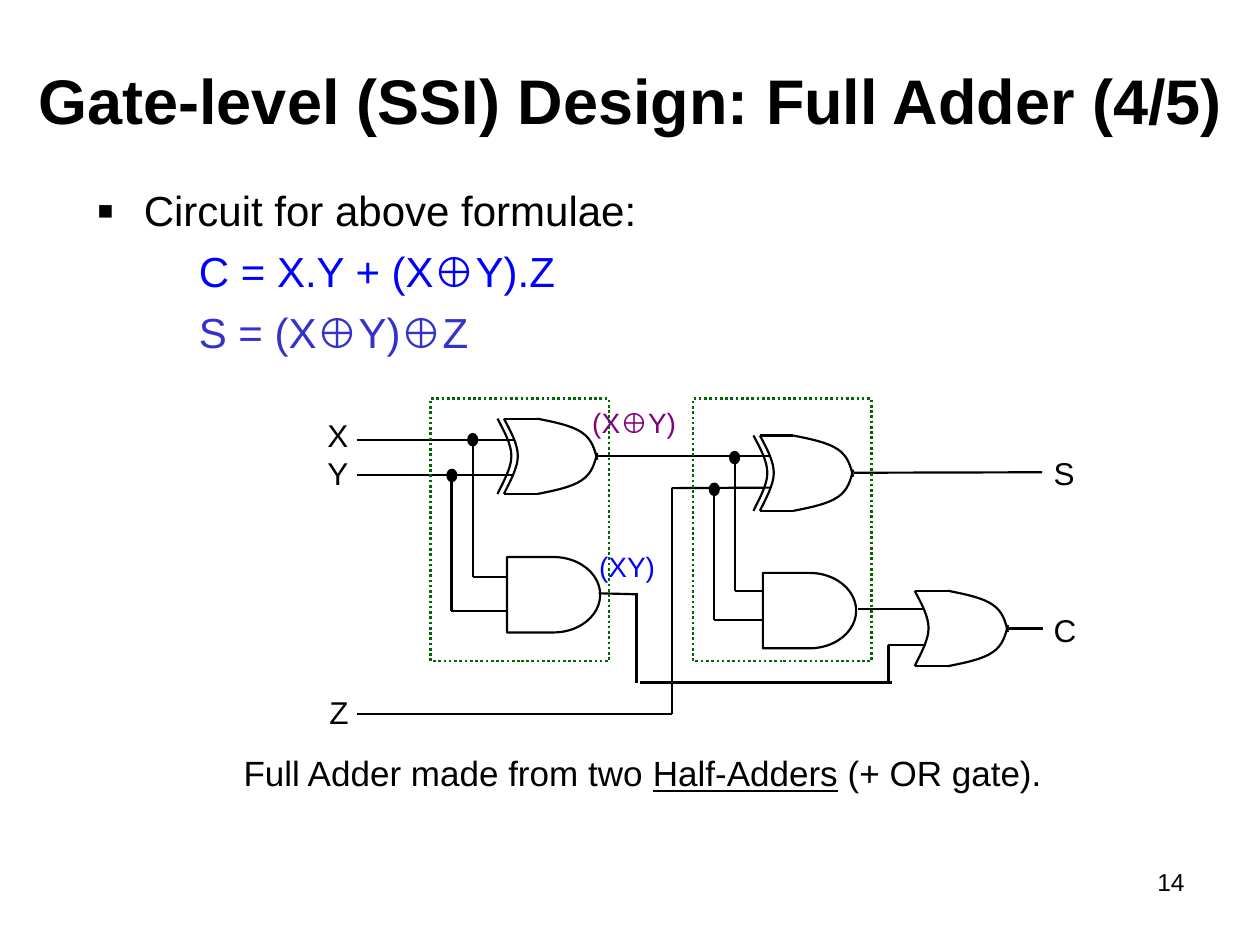
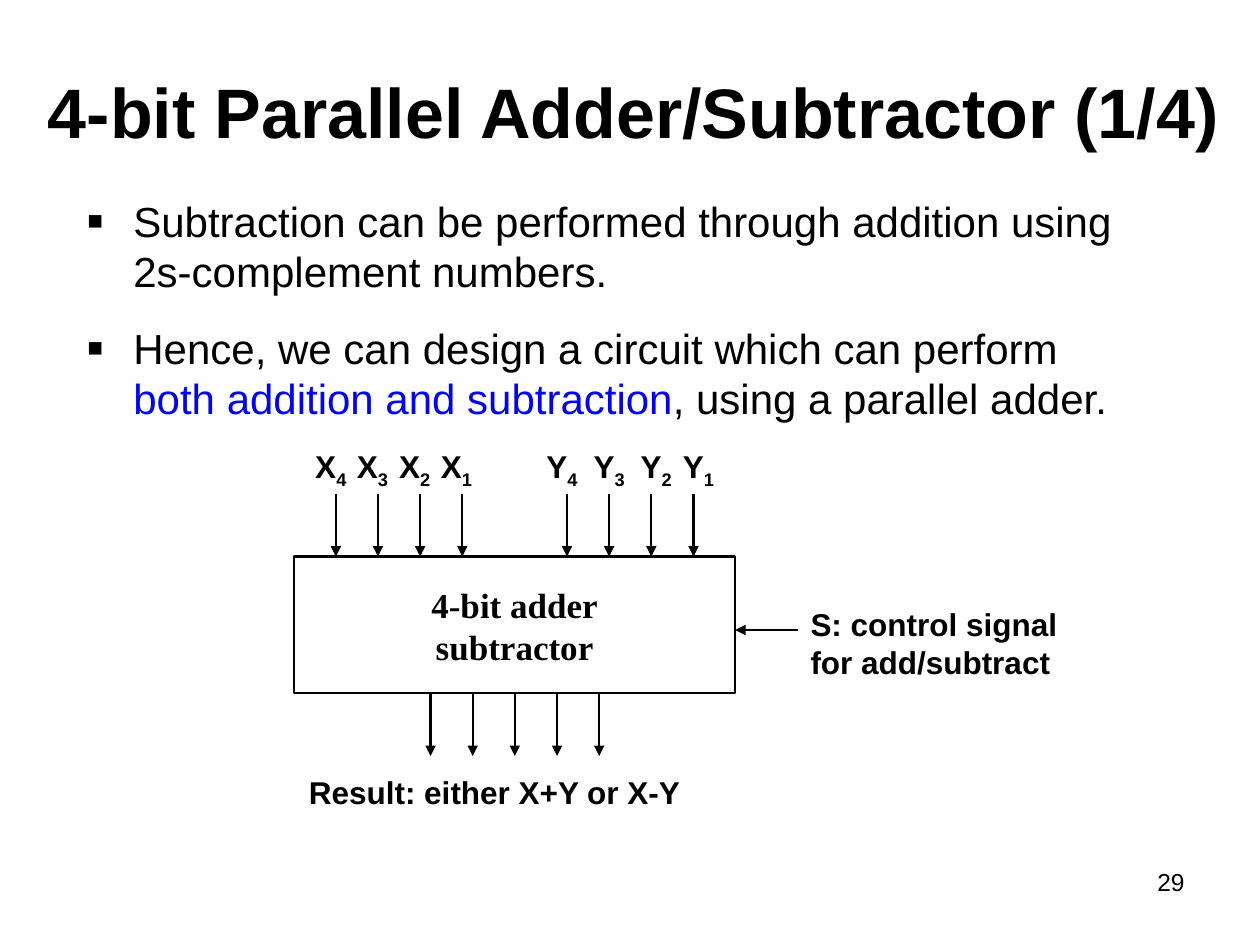
import dataclasses

import lxml.etree
import pptx
import pptx.dml.color
import pptx.enum.dml
import pptx.enum.shapes
import pptx.enum.text
import pptx.oxml.ns
import pptx.util

Cm = pptx.util.Cm
Pt = pptx.util.Pt
qn = pptx.oxml.ns.qn
SHAPE = pptx.enum.shapes.MSO_SHAPE
ALIGN = pptx.enum.text.PP_ALIGN


@dataclasses.dataclass(frozen=True)
class Theme:
    font: str = "Arial"
    serif: str = "Times New Roman"
    black: str = "000000"
    blue: str = "0000FF"
    indigo: str = "3333CC"
    purple: str = "800080"
    green: str = "006600"
    body: int = 24
    caption: int = 20
    label: int = 18
    signal: int = 16
    number: int = 14
    wire: float = 1.25
    frame: float = 1.5


T = Theme()


def rgb(color):
    return pptx.dml.color.RGBColor.from_string(color)


def write(tf, text, size=T.label, color=T.black, font=T.font, bold=False, underline=False,
          baseline=0, align=ALIGN.LEFT, before=0, indent=0, bullet=False, new=True):
    p = tf.paragraphs[-1]
    if new:
        if p.runs:
            p = tf.add_paragraph()
        p.alignment = align
        p.space_before = Pt(before)
        pPr = p._p.get_or_add_pPr()
        pPr.set("marL", str(Cm(indent)))
        pPr.set("indent", str(-Cm(indent) if bullet else 0))
        if bullet:
            clr = lxml.etree.SubElement(pPr, qn("a:buClr"))
            lxml.etree.SubElement(clr, qn("a:srgbClr"), val=T.black)
            lxml.etree.SubElement(pPr, qn("a:buSzPct"), val="120000")
            lxml.etree.SubElement(pPr, qn("a:buFont"), typeface=T.font)
            lxml.etree.SubElement(pPr, qn("a:buChar"), char="▪")
        else:
            lxml.etree.SubElement(pPr, qn("a:buNone"))
    r = p.add_run()
    r.text = text
    r.font.name = font
    r.font.size = Pt(size)
    r.font.bold = bold
    r.font.underline = underline
    r.font.color.rgb = rgb(color)
    if baseline:
        r._r.get_or_add_rPr().set("baseline", str(baseline * 1000))


def text_box(s, x, y, w, h):
    tf = s.shapes.add_textbox(Cm(x), Cm(y), Cm(w), Cm(h)).text_frame
    tf.word_wrap = True
    return tf


def label(s, text, x, y, w, h, **style):
    write(text_box(s, x, y, w, h), text, **style)


def add_slide(prs, title, number, x, y, w, size):
    s = prs.slides.add_slide(prs.slide_layouts[5])
    sp = s.shapes.title
    sp.left, sp.top, sp.width, sp.height = Cm(x), Cm(y), Cm(w), Cm(3.18)
    tf = sp.text_frame
    tf.auto_size = pptx.enum.text.MSO_AUTO_SIZE.NONE
    tf.vertical_anchor = pptx.enum.text.MSO_ANCHOR.MIDDLE
    write(tf, title, size=size, bold=True, align=ALIGN.CENTER)
    label(s, number, 18.21, 17.35, 5.92, 1.32, size=T.number, align=ALIGN.RIGHT)
    return s


def outline(sp, color=T.black, width=T.wire, dash=None, fill=None):
    sp.shadow.inherit = False
    if fill:
        sp.fill.solid()
        sp.fill.fore_color.rgb = rgb(fill)
    else:
        sp.fill.background()
    sp.line.color.rgb = rgb(color)
    sp.line.width = Pt(width)
    if dash:
        sp.line.dash_style = dash


def shape(s, kind, x, y, w, h, **style):
    outline(s.shapes.add_shape(kind, Cm(x), Cm(y), Cm(w), Cm(h)), **style)


def wire(s, *points, arrow=False):
    for (x1, y1), (x2, y2) in zip(points, points[1:]):
        c = s.shapes.add_connector(pptx.enum.shapes.MSO_CONNECTOR.STRAIGHT,
                                   Cm(x1), Cm(y1), Cm(x2), Cm(y2))
        c.line.color.rgb = rgb(T.black)
        c.line.width = Pt(T.wire)
        if arrow:
            lxml.etree.SubElement(c.line._get_or_add_ln(), qn("a:tailEnd"), type="triangle")
        lxml.etree.SubElement(c._element.spPr, qn("a:effectLst"))


def curve(s, x, y, knots):
    points = [(Cm(x + px), Cm(y + py)) for px, py in knots]
    fb = s.shapes.build_freeform(*points[0])
    fb.add_line_segments(points[1:], close=False)
    sp = fb.convert_to_shape()
    segments = list(sp._element.iter(qn("a:lnTo")))
    outline_path = segments[0].getparent()
    for i in range(0, len(segments), 3):
        bend = lxml.etree.SubElement(outline_path, qn("a:cubicBezTo"))
        for segment in segments[i:i + 3]:
            bend.append(segment[0])
            outline_path.remove(segment)
    outline(sp)


def or_gate(s, x, y, exclusive=False):
    h = 1.52
    back = [(0, 0), (.13, .25), (.28, .51), (.28, .76), (.28, 1.02), (.05, 1.4), (0, h)]
    nose = [(.67, 0), (1.02, .07), (1.37, .14), (1.57, .28), (1.78, .42), (1.83, .63), (1.88, .83)]
    curve(s, x, y, back)
    if exclusive:
        curve(s, x - .13, y, back)
    curve(s, x, y, nose)
    curve(s, x, y, [(px, h - py) for px, py in nose])
    for edge in (y, y + h):
        wire(s, (x, edge), (x + .67, edge))


def and_gate(s, x, y):
    shape(s, SHAPE.FLOWCHART_DELAY, x, y, 1.88, 1.52)


def junction(s, x, y):
    shape(s, SHAPE.OVAL, x - .09, y - .12, .18, .23, fill=T.black)


def full_adder(prs):
    s = add_slide(prs, "Gate-level (SSI) Design: Full Adder (4/5)", "14", .33, .42, 24.77, 36)
    tf = text_box(s, 1.7, 3.6, 21.16, 3.81)
    write(tf, "Circuit for above formulae:", size=T.body, indent=.95, bullet=True)
    write(tf, "C = X.Y + (X⊕Y).Z", size=T.body, color=T.blue, before=6, indent=2.06)
    write(tf, "S = (X⊕Y)⊕Z", size=T.body, color=T.indigo, before=6, indent=2.06)

    tf = text_box(s, 4.66, 15.03, 16.94, 1.47)
    write(tf, "Full Adder made from two ", size=T.caption)
    write(tf, "Half-Adders", size=T.caption, underline=True, new=False)
    write(tf, " (+ OR gate).", size=T.caption, new=False)

    or_gate(s, 10.16, 8.44, exclusive=True)
    or_gate(s, 15.32, 8.78, exclusive=True)
    or_gate(s, 18.44, 11.91)
    and_gate(s, 10.22, 11.23)
    and_gate(s, 15.38, 11.55)

    for points in (
        [(7.19, 8.87), (10.36, 8.87)],
        [(7.19, 9.57), (10.36, 9.57)],
        [(9.53, 8.87), (9.53, 11.63), (10.21, 11.63)],
        [(9.1, 9.57), (9.1, 12.32), (10.21, 12.32)],
        [(12.01, 9.2), (15.52, 9.2)],
        [(12.07, 11.96), (12.83, 11.98)],
        [(12.83, 11.96), (12.83, 13.76)],
        [(12.91, 13.76), (17.98, 13.76)],
        [(17.91, 13.76), (17.91, 13.01), (18.67, 13.01)],
        [(7.19, 14.4), (13.54, 14.4), (13.54, 9.84), (15.52, 9.83)],
        [(14.82, 9.2), (14.82, 11.91), (15.37, 11.91)],
        [(14.4, 9.84), (14.4, 12.5), (15.37, 12.5)],
        [(17.22, 9.53), (21.01, 9.52)],
        [(17.3, 12.27), (18.62, 12.27)],
        [(20.27, 12.67), (21.03, 12.67)],
    ):
        wire(s, *points)
    for x, y in ((9.53, 8.87), (9.11, 9.59), (14.81, 9.23), (14.4, 9.87)):
        junction(s, x, y)

    tf = text_box(s, 6.35, 8.26, 1.07, 1.52)
    write(tf, "X")
    write(tf, "Y")
    for text, x, y in (("Z", 6.39, 13.84), ("S", 20.99, 9.02), ("C", 20.99, 12.19)):
        label(s, text, x, y, 1.07, .97)
    label(s, "(X⊕Y)", 11.69, 8.05, 2.29, .97, size=T.signal, color=T.purple)
    label(s, "(XY)", 11.83, 10.95, 1.75, .97, size=T.signal, color=T.blue)
    for x in (8.68, 13.97):
        shape(s, SHAPE.RECTANGLE, x, 8.04, 3.6, 5.29, color=T.green, width=T.frame,
              dash=pptx.enum.dml.MSO_LINE.ROUND_DOT)


def adder_subtractor(prs):
    s = add_slide(prs, "4-bit Parallel Adder/Subtractor (1/4)", "29", .28, .64, 24.98, 40)
    tf = text_box(s, 1.49, 3.81, 21.59, 4.88)
    write(tf, "Subtraction can be performed through addition using 2s-complement numbers.",
          size=T.body, indent=.95, bullet=True)
    write(tf, "Hence, we can design a circuit which can perform ",
          size=T.body, before=15, indent=.95, bullet=True)
    write(tf, "both addition and subtraction", size=T.body, color=T.blue, new=False)
    write(tf, ", using a parallel adder.", size=T.body, new=False)

    top, bottom, length, pitch = 11.22, 13.97, 1.27, .85
    shape(s, SHAPE.RECTANGLE, 5.93, top, 8.89, bottom - top, width=T.frame)
    tf = text_box(s, 7.2, 11.63, 6.35, 1.96)
    for line in ("4-bit adder", "subtractor"):
        write(tf, line, size=T.caption, font=T.serif, bold=True, align=ALIGN.CENTER)

    for name, first, centres in (("X", 6.77, (6.67, 7.51, 8.36, 9.2)),
                                 ("Y", 11.43, (11.33, 12.28, 13.23, 14.08))):
        for i, centre in enumerate(centres):
            x = first + i * pitch
            wire(s, (x, top - length), (x, top), arrow=True)
            tf = text_box(s, centre - .74, 8.89, 1.48, 1.12)
            write(tf, name, bold=True, align=ALIGN.CENTER)
            write(tf, str(4 - i), bold=True, baseline=-25, new=False)
    for i in range(5):
        x = 8.68 + i * pitch
        wire(s, (x, bottom), (x, bottom + length), arrow=True)
    wire(s, (16.08, 12.7), (14.82, 12.7), arrow=True)

    label(s, "S: control signal for add/subtract", 16.09, 12.07, 5.72, 1.78, bold=True)
    label(s, "Result: either X+Y or X-Y", 5.42, 15.45, 9.1, 1.02, bold=True, align=ALIGN.CENTER)


def main():
    prs = pptx.Presentation()
    prs.slide_width, prs.slide_height = Cm(25.4), Cm(19.05)
    full_adder(prs)
    adder_subtractor(prs)
    prs.save("out.pptx")


if __name__ == "__main__":
    main()
